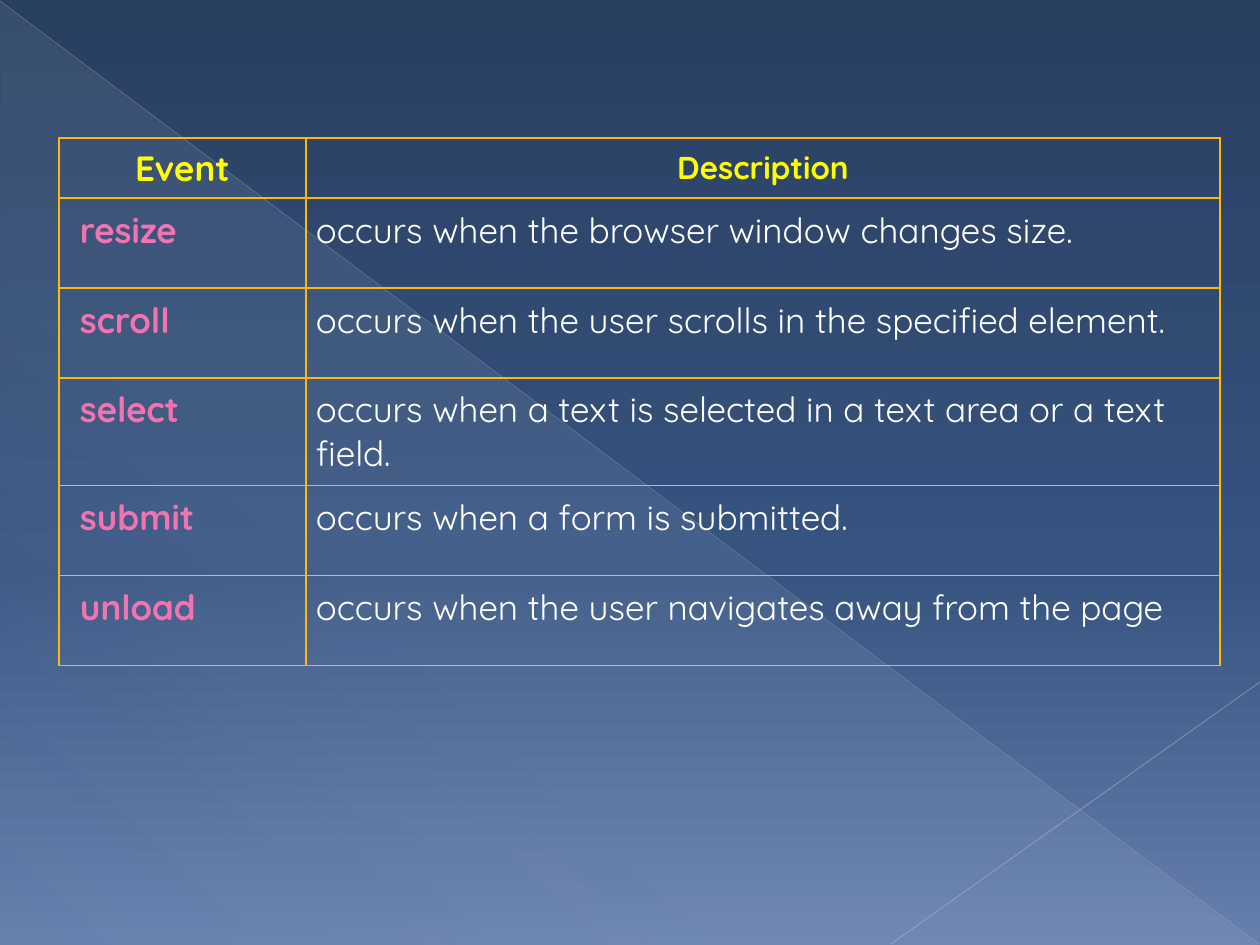
from lxml import etree
from pptx import Presentation
from pptx import util as u
from pptx.dml.color import RGBColor
from pptx.enum import shapes, text
from pptx.oxml.ns import qn

SCALE = 914400 / 126
FONT = "Quicksand"
GOLD, YELLOW, PINK, WHITE = "FEB80A", "FFFF00", "F273AF", "FFFFFF"
EVENTS = [
    ("resize", "occurs when the browser window changes size."),
    ("scroll", "occurs when the user scrolls in the specified element."),
    ("select", "occurs when a text is selected in a text area or a text field."),
    ("submit", "occurs when a form is submitted."),
    ("unload", "occurs when the user navigates away from the page"),
]


def px(n):
    return u.Emu(round(n * SCALE))


def rgb(value):
    return RGBColor.from_string(value)


def sub(parent, tag, **attrs):
    return etree.SubElement(parent, qn(tag), {k: str(v) for k, v in attrs.items()})


def add_color(parent, value, alpha=100):
    clr = sub(parent, "a:srgbClr", val=value)
    if alpha < 100:
        sub(clr, "a:alpha", val=alpha * 1000)


def set_gradient(fill, element, stops, angle):
    fill.solid()
    solid = next(element.iter(qn("a:solidFill")))
    grad = etree.Element(qn("a:gradFill"), rotWithShape="1")
    stop_list = sub(grad, "a:gsLst")
    for pos, value, alpha in stops:
        add_color(sub(stop_list, "a:gs", pos=pos * 1000), value, alpha)
    sub(grad, "a:lin", ang=angle * 60000, scaled=0)
    solid.getparent().replace(solid, grad)


def add_line(s, start, end, value, width, alpha):
    line = s.shapes.add_connector(
        shapes.MSO_CONNECTOR.STRAIGHT, *map(px, start + end))
    line.line.width = u.Pt(width)
    line.line.color.rgb = rgb(value)
    clr = next(line._element.spPr.iter(qn("a:srgbClr")))
    sub(clr, "a:alpha", val=alpha * 1000)
    sub(line._element.spPr, "a:effectLst")


def add_backdrop(s, x, y, w, h):
    set_gradient(s.background.fill, s._element,
                 [(0, "293F60", 100), (60, "375380", 100), (100, "667FAC", 100)], 90)
    sp = s.shapes.add_shape(shapes.MSO_SHAPE.RIGHT_TRIANGLE,
                            px(x + 1), px(y + 2), px(w - 2), px(h - 2))
    sp.shadow.inherit = False
    sp.line.fill.background()
    set_gradient(sp.fill, sp._element.spPr,
                 [(0, "D6ECFF", 10), (70, "D6ECFF", 8), (100, "D6ECFF", 1)], 133)
    add_line(s, (x, y + 1), (x + w - 1, y + h - 1), "B7BCC5", 0.39, 35)
    add_line(s, (x + w, y + 682), (x + 891, y + h - 1), "BFC3CB", 0.47, 45)


def set_cell(cell, words, size, value, bold, margins):
    cell.margin_left, cell.margin_top, cell.margin_right, cell.margin_bottom = map(px, margins)
    cell.text_frame.text = words
    p = cell.text_frame.paragraphs[0]
    r = p.runs[0]
    r.font.name = FONT
    r.font.size = u.Pt(size)
    r.font.bold = bold
    r.font.color.rgb = rgb(value)
    tc_pr = cell._tc.get_or_add_tcPr()
    for side in ("a:lnL", "a:lnR", "a:lnT", "a:lnB"):
        add_color(sub(sub(tc_pr, side, w=u.Pt(1)), "a:solidFill"), GOLD)
    cell.fill.background()
    return p


def add_event_table(s, x, y, widths, heights):
    frame = s.shapes.add_table(len(heights), len(widths), px(x), px(y),
                               px(sum(widths)), px(sum(heights)))
    table = frame.table
    table.first_row = table.horz_banding = False
    for col, width in zip(table.columns, widths):
        col.width = px(width)
    for row, height in zip(table.rows, heights):
        row.height = px(height)
    for i, (words, size) in enumerate([("Event", 20), ("Description", 18)]):
        cell = table.cell(0, i)
        p = set_cell(cell, words, size, YELLOW, True, (9, 0, 9, 0))
        p.alignment = text.PP_ALIGN.CENTER
        cell.vertical_anchor = text.MSO_ANCHOR.MIDDLE
    for i, (event, description) in enumerate(EVENTS, 1):
        set_cell(table.cell(i, 0), event, 20, PINK, True, (21, 10, 10, 10))
        set_cell(table.cell(i, 1), description, 20, WHITE, False, (10, 10, 10, 10))


prs = Presentation()
prs.slide_width, prs.slide_height = px(1260), px(945)
s = prs.slides.add_slide(prs.slide_layouts[6])
add_backdrop(s, 0, 0, 1260, 945)
add_event_table(s, 59, 138, [247, 914], [60, 90, 90, 79, 90, 90])
prs.save("out.pptx")
